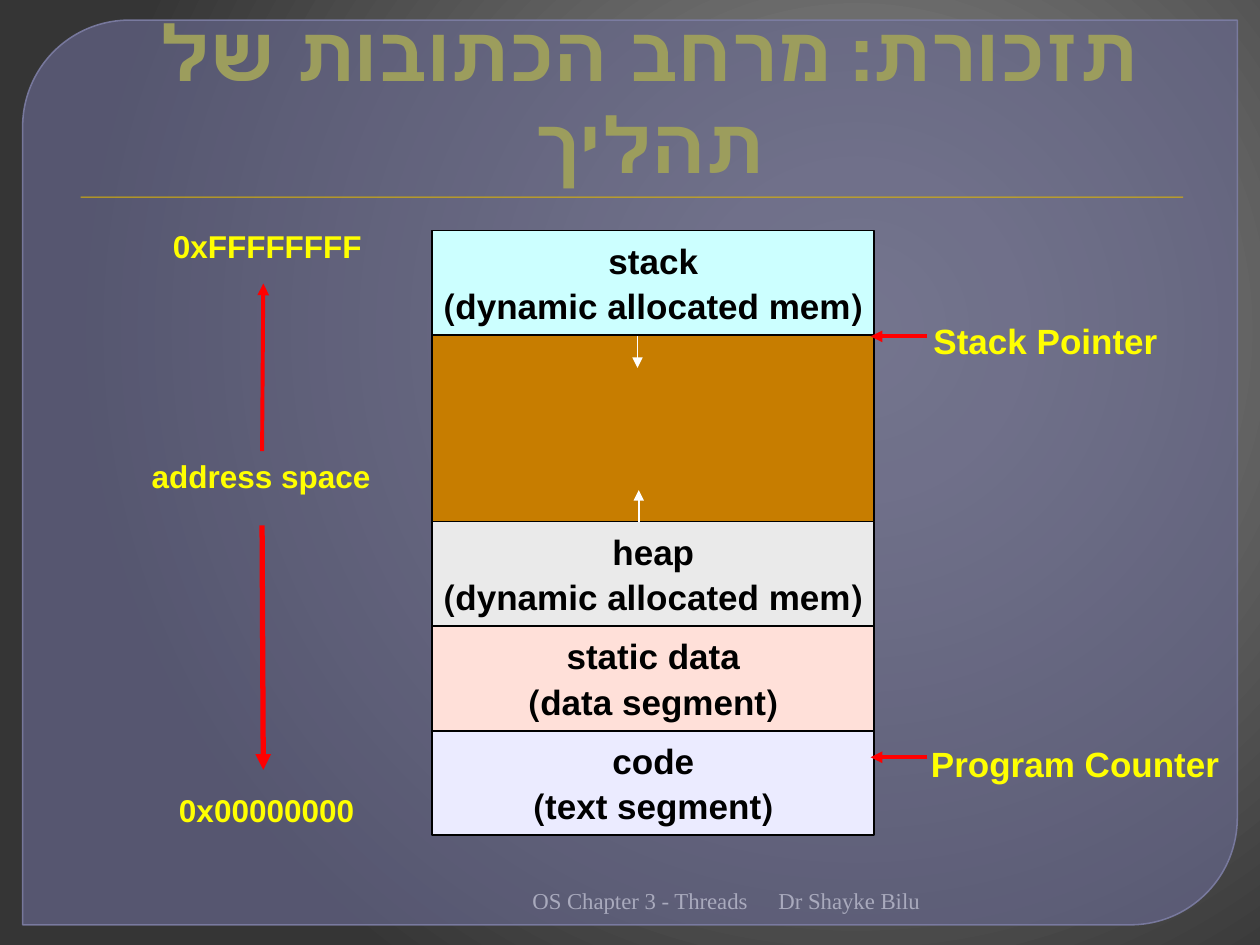
from dataclasses import dataclass
from lxml import etree
from pptx import Presentation
from pptx.dml.color import RGBColor
from pptx.enum.shapes import MSO_CONNECTOR, MSO_SHAPE
from pptx.enum.text import MSO_ANCHOR, MSO_AUTO_SIZE, PP_ALIGN
from pptx.oxml import parse_xml
from pptx.oxml.ns import qn
from pptx.util import Inches, Pt

RECT, PANEL = MSO_SHAPE.RECTANGLE, MSO_SHAPE.ROUND_2_DIAG_RECTANGLE
LINE = MSO_CONNECTOR.STRAIGHT
LEFT, MID, RIGHT = PP_ALIGN.LEFT, PP_ALIGN.CENTER, PP_ALIGN.RIGHT
TOP, CENTER, LOW = MSO_ANCHOR.TOP, MSO_ANCHOR.MIDDLE, MSO_ANCHOR.BOTTOM
NONE, GROW = MSO_AUTO_SIZE.NONE, MSO_AUTO_SIZE.SHAPE_TO_FIT_TEXT
SPACE = "http://schemas.openxmlformats.org/drawingml/2006/main"


@dataclass(frozen=True)
class Theme:
    """Colours, fonts and type sizes."""
    bright: str = "FFFF00"
    ink: str = "000000"
    white: str = "FFFFFF"
    red: str = "FF0000"
    gold: str = "E0B602"
    gray: str = "A9AABD"
    panel: str = "686990"
    edge: str = "7E7FA6"
    stack: str = "CCFFFF"
    free: str = "C77D00"
    heap: str = "EAEAEA"
    data: str = "FFE0D9"
    code: str = "EBEBFF"
    glow: tuple = ((0, "8C8C8C"), (20, "7F7F7F"), (100, "353535"))
    font: str = "Arial"
    serif: str = "Times New Roman"
    head: int = 44
    body: int = 20
    label: int = 18
    foot: int = 13


def write(frame, text, size, color, font, bold=True, align=MID, anchor=TOP, gap=0, wrap=True, fit=NONE):
    """Fill a text frame with right-to-left lines in one format."""
    frame.word_wrap = wrap
    frame.auto_size = fit
    frame.vertical_anchor = anchor
    for i, words in enumerate(text.split("\n")):
        para = frame.add_paragraph() if i else frame.paragraphs[0]
        para.alignment = align
        para.space_before = Pt(gap)
        para._p.get_or_add_pPr().set("rtl", "1")
        run = para.add_run()
        run.text = words
        run.font.size, run.font.bold, run.font.name = Pt(size), bold, font
        run.font.color.rgb = RGBColor.from_string(color)


def fade(form, part):
    """Set the opacity of a solid fill in percent."""
    color = form.find(".//" + qn("a:srgbClr"))
    etree.SubElement(color, qn("a:alpha")).set("val", str(part * 1000))


class Deck:
    """Style and current slide."""

    def __init__(self, theme):
        """Start a file with one title slide."""
        self.theme = theme
        self.file = Presentation()
        self.file.slide_width, self.file.slide_height = Inches(10), Inches(7.5)
        self.slide = self.file.slides.add_slide(self.file.slide_layouts[5])
        self.shapes = self.slide.shapes

    def ground(self):
        """Paint the radial background."""
        fill = self.slide.background.fill
        fill.solid()
        stops = "".join(f'<a:gs pos="{at * 1000}"><a:srgbClr val="{color}"/></a:gs>'
                        for at, color in self.theme.glow)
        grad = parse_xml(
            f'<a:gradFill xmlns:a="{SPACE}" rotWithShape="1"><a:gsLst>{stops}</a:gsLst>'
            '<a:path path="circle"><a:fillToRect l="68000" t="35000" r="32000" b="65000"/>'
            '</a:path></a:gradFill>')
        solid = self.slide.background._cSld.find(".//" + qn("a:solidFill"))
        solid.getparent().replace(solid, grad)

    def title(self, text, box):
        """Place the title."""
        item = self.shapes.title
        item.left, item.top, item.width, item.height = map(Inches, box)
        write(item.text_frame, text, self.theme.head, self.theme.bright, self.theme.font, anchor=LOW)

    def block(self, box, fill, line=None, width=1, kind=RECT):
        """Draw a filled shape."""
        item = self.shapes.add_shape(kind, *map(Inches, box))
        item.shadow.inherit = False
        item.fill.solid()
        item.fill.fore_color.rgb = RGBColor.from_string(fill)
        if line:
            item.line.color.rgb = RGBColor.from_string(line)
            item.line.width = Pt(width)
        else:
            item.line.fill.background()
        return item

    def panel(self, box):
        """Draw the translucent panel."""
        item = self.block(box, self.theme.panel, self.theme.edge, 0.87, PANEL)
        item.adjustments[0], item.adjustments[1] = 0.118, 0
        props = item._element.spPr
        fade(props.find(qn("a:solidFill")), 65)
        fade(props.find(qn("a:ln")), 88)

    def label(self, text, box, size, **form):
        """Place a text box."""
        form = {"color": self.theme.bright, "font": self.theme.font} | form
        item = self.shapes.add_textbox(*map(Inches, box))
        write(item.text_frame, text, size, **form)

    def arrow(self, start, end, color, width):
        """Draw an arrow from start to end."""
        item = self.shapes.add_connector(LINE, *map(Inches, start + end))
        item.line.color.rgb = RGBColor.from_string(color)
        item.line.width = Pt(width)
        tip = etree.SubElement(item.line._get_or_add_ln(), qn("a:tailEnd"))
        tip.set("type", "triangle")
        etree.SubElement(item._element.spPr, qn("a:effectLst"))


theme = Theme()
deck = Deck(theme)
deck.ground()
deck.panel((0.18, 0.16, 9.64, 7.18))
deck.block((0.64, 1.56, 8.75, 0.01), theme.gold)
deck.title("תזכורת: מרחב הכתובות של תהליך", (0.5, 0.3, 9.3, 1.25))

for text, left, top, width in (("0xFFFFFFFF", 1.25, 1.75, 1.72),
                               ("address space", 1.08, 3.58, 1.96),
                               ("0x00000000", 1.31, 6.23, 1.6)):
    deck.label(text, (left, top, width, 0.4), theme.label, align=RIGHT, wrap=False, fit=GROW)

top = 1.83
for text, fill, high in (("stack\n(dynamic allocated mem)", theme.stack, 0.83),
                         ("", theme.free, 1.48),
                         ("heap\n(dynamic allocated mem)", theme.heap, 0.83),
                         ("static data\n(data segment)", theme.data, 0.83),
                         ("code\n(text segment)", theme.code, 0.83)):
    item = deck.block((3.43, top, 3.51, high), fill, theme.ink)
    if text:
        write(item.text_frame, text, theme.body, theme.ink, theme.font, anchor=CENTER, gap=2, wrap=False)
    top += high

for start, end, color, width in (((2.08, 3.58), (2.09, 2.25), theme.red, 2.25),
                                 ((2.08, 4.17), (2.09, 6.11), theme.red, 3),
                                 ((5.06, 2.67), (5.06, 2.92), theme.white, 1),
                                 ((5.07, 4.14), (5.07, 3.89), theme.white, 1),
                                 ((7.36, 2.67), (6.91, 2.67), theme.red, 2.25),
                                 ((7.36, 6.01), (6.91, 6.01), theme.red, 2.25)):
    deck.arrow(start, end, color, width)

for text, box in (("Stack Pointer", (7.31, 2.49, 2.01, 0.44)),
                  ("Program Counter", (7.29, 5.84, 2.51, 0.44))):
    deck.label(text, box, theme.body, align=LEFT, gap=2, wrap=False, fit=GROW)

for text, left, width, align in (("OS Chapter 3 - Threads", 1.42, 4.61, RIGHT),
                                 ("Dr Shayke Bilu", 6.08, 3.28, LEFT)):
    deck.label(text, (left, 7, width, 0.3), theme.foot, color=theme.gray, font=theme.serif,
               bold=False, align=align, anchor=CENTER)

deck.file.save("out.pptx")
